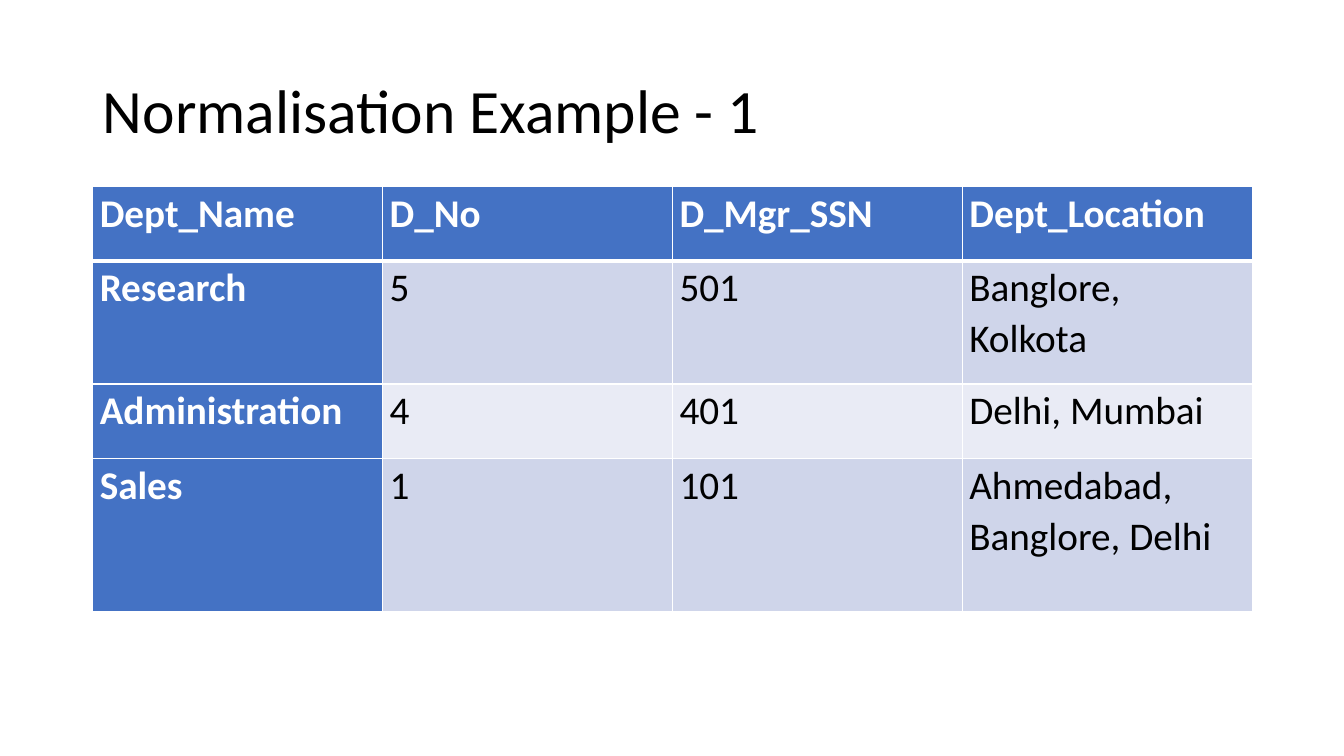
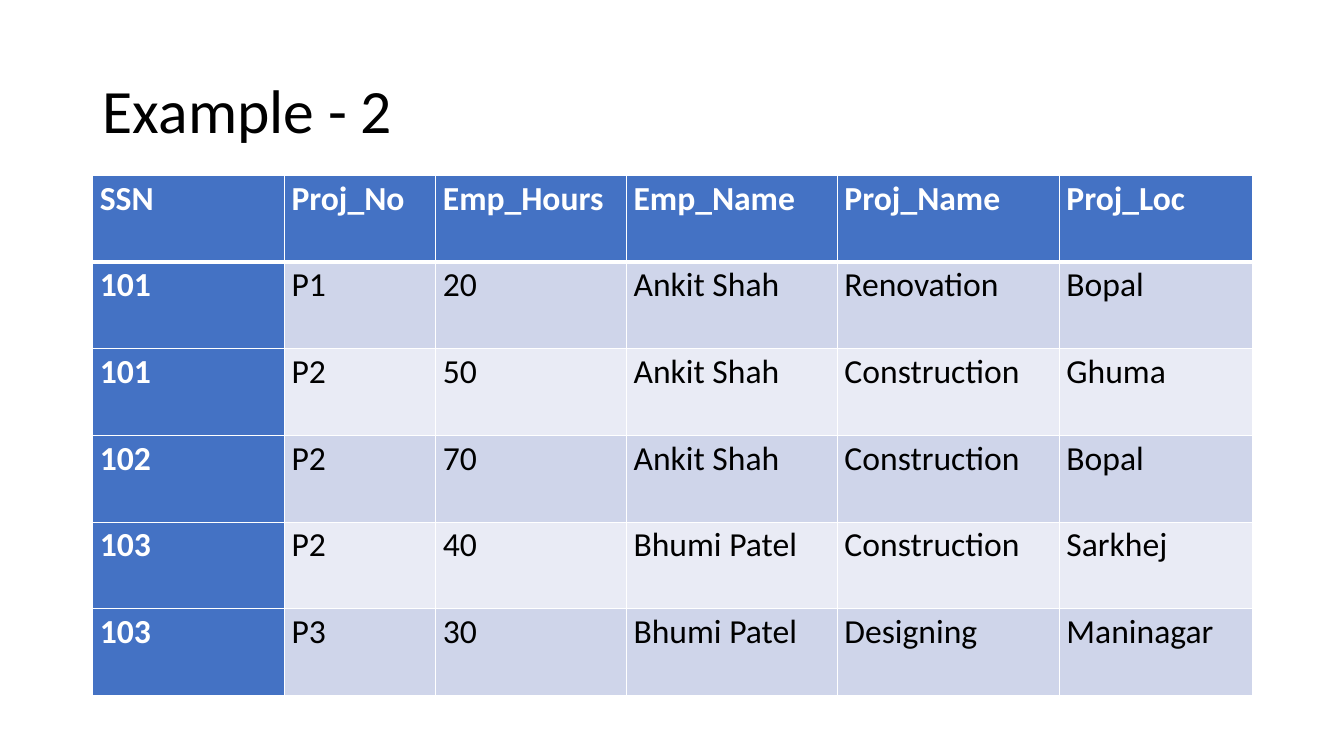
from lxml import etree
from pptx import Presentation
from pptx import util as u
from pptx.dml.color import RGBColor
from pptx.enum import text as t
from pptx.oxml.ns import qn

FONT = "Calibri"
BLACK, WHITE, BLUE = "000000", "FFFFFF", "4472C4"
BANDS = "CFD5EA", "E9EBF5"
SLIDE_W, SLIDE_H = 13.33, 7.5
LEFT, CONTENT_W = 0.92, 11.5
TITLE_TOP, TITLE_H = 0.4, 1.45

EXAMPLES = [
    dict(
        title="Normalisation Example - 1",
        top=1.85, size=28,
        col_shares=[1, 1, 1, 1],
        row_heights=[0.74, 1.22, 0.74, 1.52],
        rows=[
            ("Dept_Name", "D_No", "D_Mgr_SSN", "Dept_Location"),
            ("Research", "5", "501", "Banglore, Kolkota"),
            ("Administration", "4", "401", "Delhi, Mumbai"),
            ("Sales", "1", "101", "Ahmedabad, Banglore, Delhi"),
        ],
    ),
    dict(
        title="Example - 2",
        top=1.74, size=24,
        col_shares=[1.9, 1.5, 1.89, 2.09, 2.2, 1.91],
        row_heights=[0.86] * 6,
        rows=[
            ("SSN", "Proj_No", "Emp_Hours", "Emp_Name", "Proj_Name", "Proj_Loc"),
            ("101", "P1", "20", "Ankit Shah", "Renovation", "Bopal"),
            ("101", "P2", "50", "Ankit Shah", "Construction", "Ghuma"),
            ("102", "P2", "70", "Ankit Shah", "Construction", "Bopal"),
            ("103", "P2", "40", "Bhumi Patel", "Construction", "Sarkhej"),
            ("103", "P3", "30", "Bhumi Patel", "Designing", "Maninagar"),
        ],
    ),
]


def rgb(code):
    return RGBColor.from_string(code)


def write(frame, words, size, color=BLACK, bold=False, align=t.PP_ALIGN.LEFT,
          line_spacing=1.0, space_after=0):
    frame.text = words
    paragraph = frame.paragraphs[0]
    paragraph.alignment = align
    paragraph.line_spacing = line_spacing
    paragraph.space_after = u.Pt(space_after)
    font = paragraph.runs[0].font
    font.name, font.size, font.bold = FONT, u.Pt(size), bold
    font.color.rgb = rgb(color)


def draw_borders(cell, **widths):
    """Add white borders; widths in points by side, in the order L, R, T, B."""
    properties = cell._tc.get_or_add_tcPr()
    for side, width in widths.items():
        line = etree.SubElement(properties, qn(f"a:ln{side}"), w=str(u.Pt(width)))
        fill = etree.SubElement(line, qn("a:solidFill"))
        etree.SubElement(fill, qn("a:srgbClr"), val=WHITE)


def add_data_table(slide, rows, col_shares, row_heights, top, size):
    table = slide.shapes.add_table(
        len(rows), len(col_shares), u.Inches(LEFT), u.Inches(top),
        u.Inches(CONTENT_W), u.Inches(sum(row_heights))).table
    table.first_col = True
    for column, share in zip(table.columns, col_shares):
        column.width = u.Inches(CONTENT_W * share / sum(col_shares))
    for r, (values, height) in enumerate(zip(rows, row_heights)):
        table.rows[r].height = u.Inches(height)
        for c, value in enumerate(values):
            cell = table.cell(r, c)
            heading = r == 0 or c == 0
            draw_borders(cell, L=1, R=1, T=3 if r == 1 else 1, B=3 if r == 0 else 1)
            cell.fill.solid()
            cell.fill.fore_color.rgb = rgb(BLUE if heading else BANDS[(r - 1) % 2])
            cell.margin_left = cell.margin_right = u.Inches(0.07)
            cell.margin_top = cell.margin_bottom = 0
            write(cell.text_frame, value, size, WHITE if heading else BLACK, heading,
                  t.PP_ALIGN.JUSTIFY, line_spacing=1.07, space_after=8)


def place_title(title):
    title.left, title.top = u.Inches(LEFT), u.Inches(TITLE_TOP)
    title.width, title.height = u.Inches(CONTENT_W), u.Inches(TITLE_H)
    title.text_frame.vertical_anchor = t.MSO_ANCHOR.MIDDLE


def main():
    deck = Presentation()
    deck.slide_width, deck.slide_height = u.Inches(SLIDE_W), u.Inches(SLIDE_H)
    title_only = deck.slide_layouts[5]
    place_title(title_only.placeholders[0])
    for example in EXAMPLES:
        slide = deck.slides.add_slide(title_only)
        write(slide.shapes.title.text_frame, example["title"], 44, line_spacing=0.9)
        add_data_table(slide, **{key: part for key, part in example.items()
                                 if key != "title"})
    deck.save("out.pptx")


if __name__ == "__main__":
    main()
